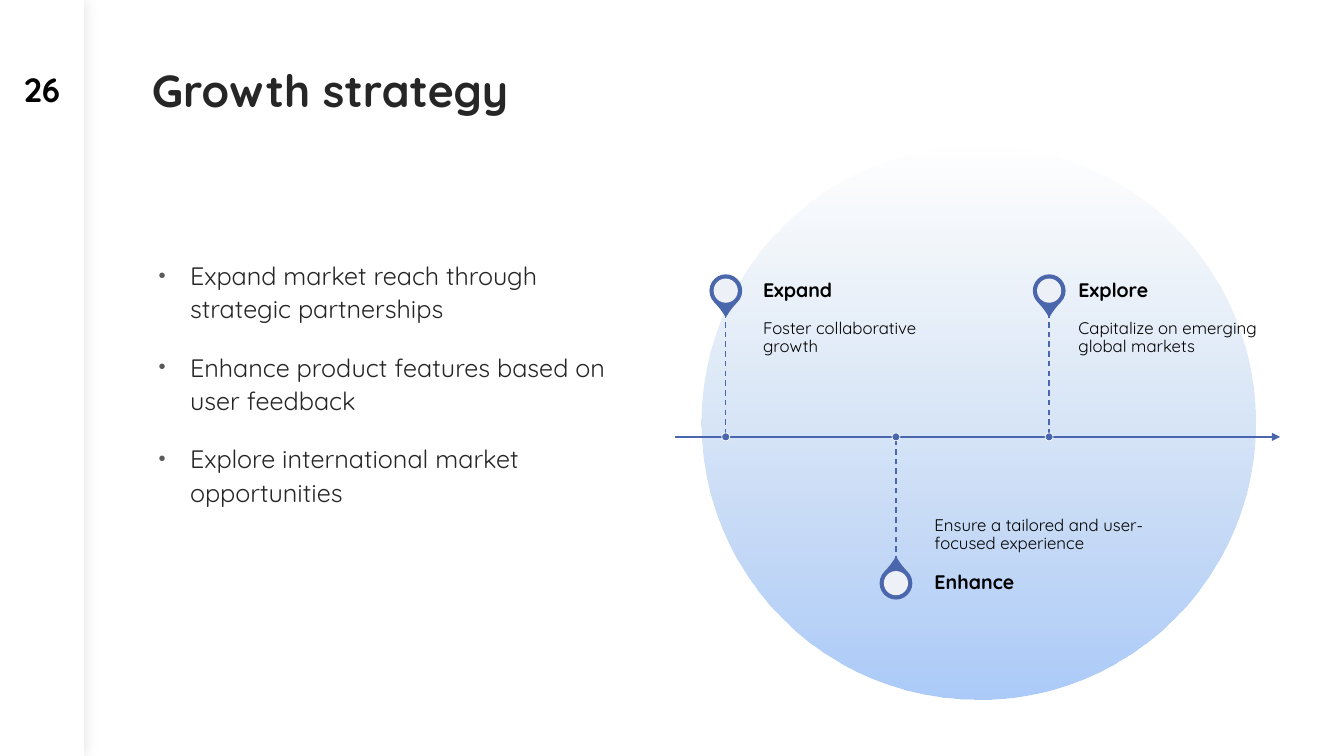
from dataclasses import dataclass

import pptx
import pptx.dml.color
import pptx.enum.dml
import pptx.enum.shapes
import pptx.enum.text
import pptx.oxml
import pptx.oxml.ns
import pptx.util
from pptx.util import Cm, Pt

Shape = pptx.enum.shapes.MSO_SHAPE
Anchor = pptx.enum.text.MSO_ANCHOR
Align = pptx.enum.text.PP_ALIGN
DRAWING = pptx.oxml.ns.nsdecls("a")


@dataclass(frozen=True)
class Theme:
    font: str = "Quicksand"
    accent: str = "4A66AC"
    paper: str = "FFFFFF"
    text: str = "262626"
    strong: str = "000000"
    bullet: str = "595959"
    sky_top: str = "B4CCE7"
    sky_bottom: str = "ACCBF9"
    title_size: int = 32
    number_size: int = 24
    body_size: int = 18
    label_size: int = 14
    detail_size: int = 12


@dataclass(frozen=True)
class Box:
    """A region in centimetres."""
    left: float
    top: float
    width: float
    height: float

    def lengths(self):
        return Cm(self.left), Cm(self.top), Cm(self.width), Cm(self.height)


@dataclass(frozen=True)
class Milestone:
    label: str
    detail: str
    offset: float
    gap: float
    text_width: float
    above: bool


THEME = Theme()
BULLETS = (
    "Expand market reach through strategic partnerships",
    "Enhance product features based on user feedback",
    "Explore international market opportunities",
)
MILESTONES = (
    Milestone("Expand", "Foster collaborative\vgrowth", 1.27, 0.94, 5.18, True),
    Milestone("Enhance", "Ensure a tailored and user-focused experience", 5.56, 0.97, 6.35, False),
    Milestone("Explore", "Capitalize on emerging global markets", 9.42, 0.74, 4.98, True),
)


def rgb(value):
    return pptx.dml.color.RGBColor.from_string(value)


def set_alpha(color_element, percent):
    color_element.append(pptx.oxml.parse_xml(f'<a:alpha {DRAWING} val="{percent * 1000}"/>'))


def color_elements(shape):
    return list(shape._element.spPr.iter(pptx.oxml.ns.qn("a:srgbClr")))


def style_runs(para, size, color, bold=False):
    for span in para.runs:
        span.font.name = THEME.font
        span.font.size = Pt(size)
        span.font.bold = bold
        span.font.color.rgb = rgb(color)


def set_frame(frame, anchor, insets):
    """Insets are left, top, right, bottom in centimetres."""
    frame.word_wrap = True
    frame.auto_size = pptx.enum.text.MSO_AUTO_SIZE.NONE
    frame.vertical_anchor = anchor
    frame.margin_left, frame.margin_top, frame.margin_right, frame.margin_bottom = map(Cm, insets)


def add_text(page, box, text, size, color, bold=False, anchor=Anchor.MIDDLE,
             insets=(0, 0, 0, 0), align=Align.LEFT, spacing=0.9):
    frame = page.shapes.add_textbox(*box.lengths()).text_frame
    set_frame(frame, anchor, insets)
    para = frame.paragraphs[0]
    para.text = text
    para.alignment = align
    para.line_spacing = spacing
    style_runs(para, size, color, bold)


def add_solid(page, kind, box, fill, line=None, line_width=1):
    shape = page.shapes.add_shape(kind, *box.lengths())
    shape.shadow.inherit = False
    shape.fill.solid()
    shape.fill.fore_color.rgb = rgb(fill)
    if line:
        shape.line.color.rgb = rgb(line)
        shape.line.width = Pt(line_width)
    else:
        shape.line.fill.background()
    return shape


def add_disc(page, x, y, diameter, fill, line=None, line_width=1, kind=Shape.OVAL):
    """Centre a round shape on x, y."""
    box = Box(x - diameter / 2, y - diameter / 2, diameter, diameter)
    return add_solid(page, kind, box, fill, line, line_width)


def add_line(page, x1, y1, x2, y2, width):
    line = page.shapes.add_connector(
        pptx.enum.shapes.MSO_CONNECTOR.STRAIGHT, Cm(x1), Cm(y1), Cm(x2), Cm(y2))
    line.line.color.rgb = rgb(THEME.accent)
    line.line.width = Pt(width)
    line._element.spPr.append(pptx.oxml.parse_xml(f"<a:effectLst {DRAWING}/>"))
    return line


def add_backdrop(page, box):
    circle = add_solid(page, Shape.OVAL, box, THEME.paper)
    circle.fill.gradient()
    circle.fill.gradient_angle = 270
    for stop, color in zip(circle.fill.gradient_stops, (THEME.sky_top, THEME.sky_bottom)):
        stop.color.rgb = rgb(color)
    set_alpha(color_elements(circle)[0], 0)


def add_side_rail(page, box, number):
    rail = add_solid(page, Shape.RECTANGLE, box, THEME.paper)
    effects = rail._element.spPr.find(pptx.oxml.ns.qn("a:effectLst"))
    effects.append(pptx.oxml.parse_xml(
        f'<a:outerShdw {DRAWING} blurRad="{Pt(10)}" dist="0" dir="0">'
        '<a:srgbClr val="000000"><a:alpha val="10000"/></a:srgbClr></a:outerShdw>'))
    add_text(page, Box(box.left, 1.7, box.width, 1.07), number, THEME.number_size,
             THEME.strong, bold=True, align=Align.CENTER, spacing=1.0)


def fill_title(page, box, text):
    title = page.shapes.title
    title.left, title.top, title.width, title.height = box.lengths()
    set_frame(title.text_frame, Anchor.TOP, (0.25, 0.13, 0.25, 0.13))
    para = title.text_frame.paragraphs[0]
    para.text = text
    para.alignment = Align.LEFT
    para.line_spacing = 0.8
    style_runs(para, THEME.title_size, THEME.text, bold=True)


def add_bullets(page, box, items):
    frame = page.shapes.add_textbox(*box.lengths()).text_frame
    set_frame(frame, Anchor.TOP, (0.25, 0.13, 0.25, 0.13))
    for index, item in enumerate(items):
        para = frame.add_paragraph() if index else frame.paragraphs[0]
        para.text = item
        para.line_spacing = 1.1
        para.space_before = Pt(18 if index else 0)
        props = para._p.get_or_add_pPr()
        props.set("marL", str(Cm(0.91)))
        props.set("indent", str(-Cm(0.79)))
        for xml in (f'<a:buClr {DRAWING}><a:srgbClr val="{THEME.bullet}"/></a:buClr>',
                    f'<a:buSzPct {DRAWING} val="80000"/>',
                    f'<a:buFont {DRAWING} typeface="Arial"/>',
                    f'<a:buChar {DRAWING} char="•"/>'):
            props.append(pptx.oxml.parse_xml(xml))
        style_runs(para, THEME.body_size, THEME.text)


def add_milestone(page, box, milestone):
    """Place a pin, its texts and its stem on the axis halfway down the box."""
    label_height = 1.09
    axis = box.top + box.height / 2
    side = -1 if milestone.above else 1
    x = box.left + milestone.offset
    pin_y = axis + side * (box.height - label_height) / 2
    stem_height = box.height / 2 - label_height
    stem_end = axis + side * stem_height

    pin = add_disc(page, x, pin_y, 0.79, THEME.accent, THEME.accent, kind=Shape.TEAR)
    pin.adjustments[0] = 1.15
    pin.rotation = 135 if milestone.above else 315
    hole = add_disc(page, x, pin_y, 0.61, THEME.paper)
    set_alpha(color_elements(hole)[0], 90)

    text_left = x + milestone.gap
    add_text(page, Box(text_left, min(axis, stem_end), milestone.text_width, stem_height),
             milestone.detail, THEME.detail_size, THEME.strong,
             anchor=Anchor.TOP if milestone.above else Anchor.BOTTOM,
             insets=(0, 0.2, 0.2, 0.3) if milestone.above else (0, 0.3, 0, 0.2))
    add_text(page, Box(text_left, pin_y - label_height / 2, milestone.text_width, label_height),
             milestone.label, THEME.label_size, THEME.strong, bold=True, insets=(0, 0, 0.25, 0))

    stem = add_line(page, x, stem_end, x, axis, 1)
    stem.line.dash_style = pptx.enum.dml.MSO_LINE.DASH
    add_disc(page, x, axis, 0.2, THEME.accent, THEME.paper, 0.5)


def add_timeline(page, box, milestones):
    axis = box.top + box.height / 2
    arrow = add_line(page, box.left, axis, box.left + box.width, axis, 1.5)
    arrow.line._get_or_add_ln().append(
        pptx.oxml.parse_xml(f'<a:tailEnd {DRAWING} type="triangle"/>'))
    for milestone in milestones:
        add_milestone(page, box, milestone)


def main():
    deck = pptx.Presentation()
    deck.slide_width, deck.slide_height = Cm(33.87), Cm(19.05)
    page = deck.slides.add_slide(deck.slide_layouts[5])
    add_backdrop(page, Box(17.68, 3.66, 13.97, 13.97))
    add_side_rail(page, Box(0, 0, 2.12, 19.05), "26")
    fill_title(page, Box(3.58, 1.7, 13.67, 4.01), "Growth strategy")
    add_bullets(page, Box(3.63, 6.35, 12.7, 11), BULLETS)
    add_timeline(page, Box(17.02, 6.78, 15.24, 8.46), MILESTONES)
    deck.save("out.pptx")


if __name__ == "__main__":
    main()
